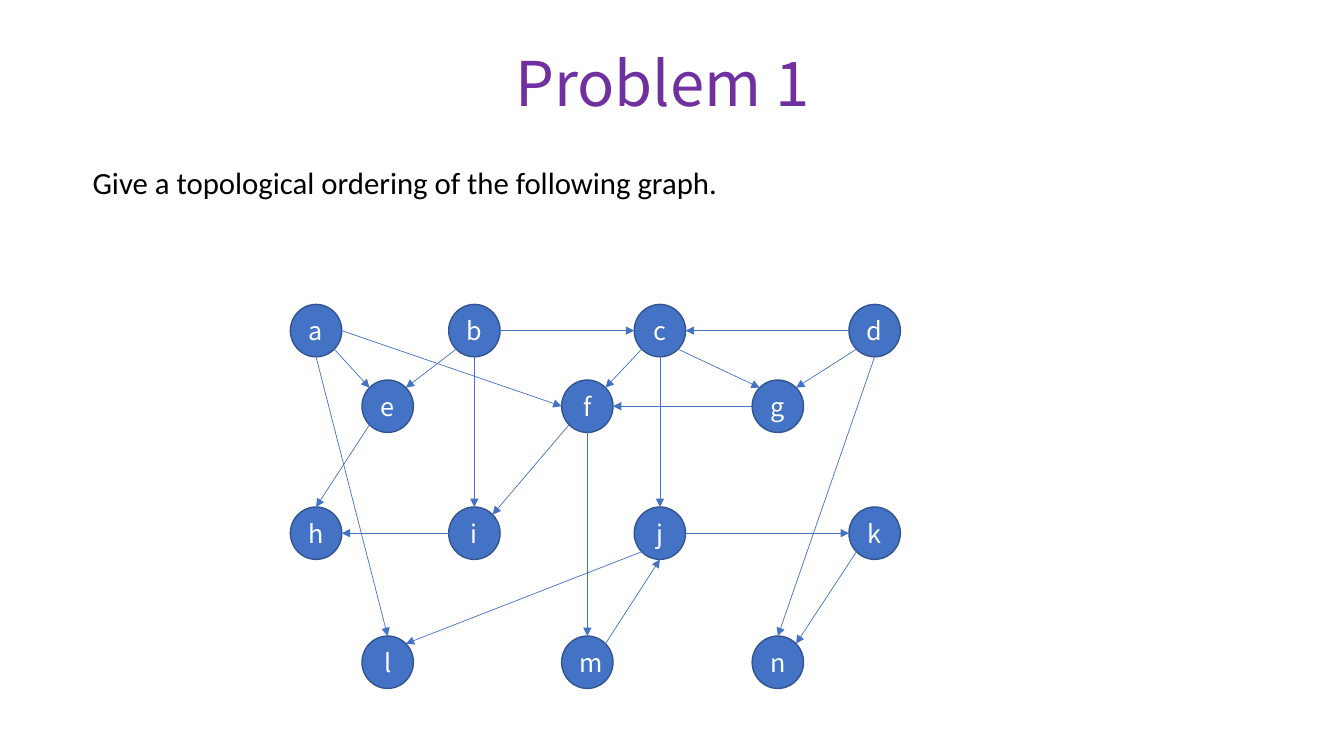
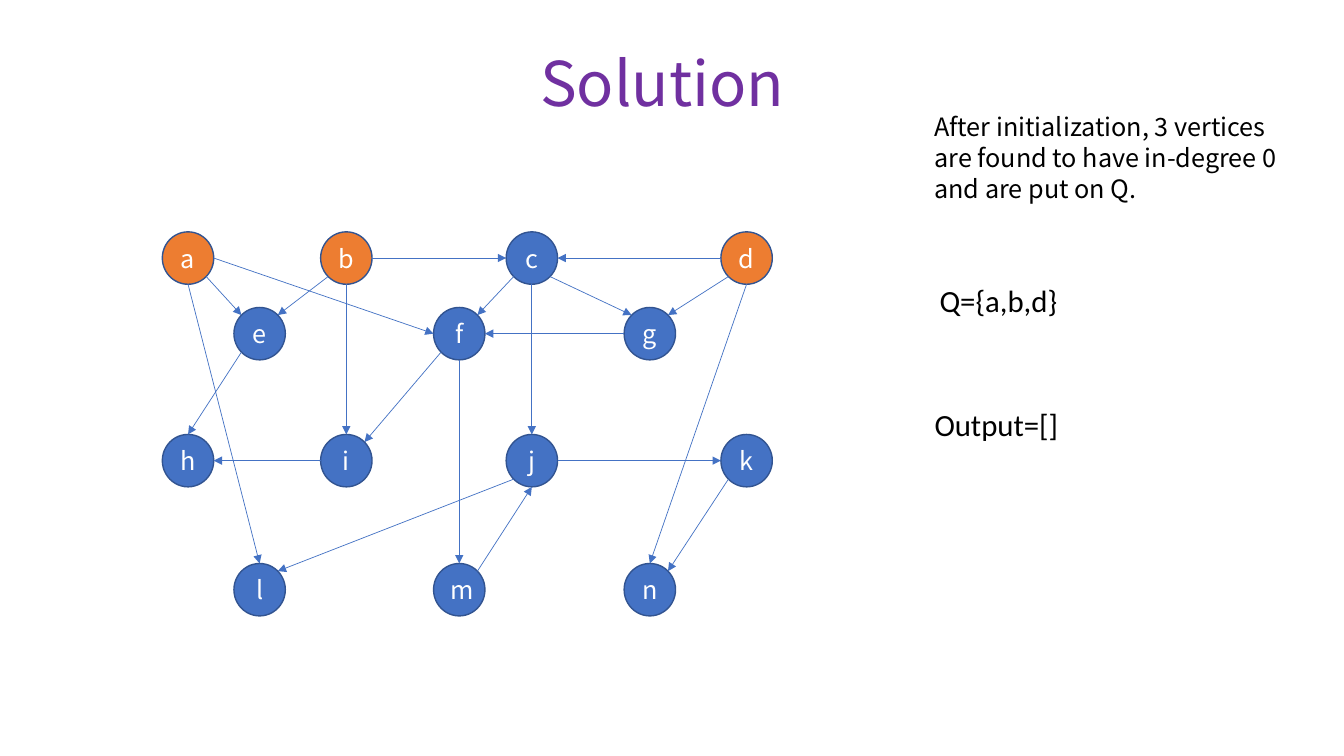
import math

import pptx
import pptx.dml.color
import pptx.enum.shapes
import pptx.enum.text
import pptx.oxml.ns
import pptx.oxml.xmlchemy
import pptx.util

Inches = pptx.util.Inches
Pt = pptx.util.Pt

COLORS = {
    "title": "7030A0",
    "text": "000000",
    "node": "4472C4",
    "queued": "ED7D31",
    "outline": "325491",
    "edge": "4472C4",
    "label": "FFFFFF",
}
SANS = "Noto Sans CJK SC"
BODY = "Calibri"
CENTER = pptx.enum.text.PP_ALIGN.CENTER
MIDDLE = pptx.enum.text.MSO_ANCHOR.MIDDLE
TITLE_FORMAT = {"alignment": CENTER, "line_spacing": 0.9}

# Graph: node offsets from its top left corner, and edges between compass sites
NODE_WIDTH, NODE_HEIGHT = 0.51, 0.52
GRAPH_ROWS = [
    (0, {"a": 0, "b": 1.57, "c": 3.41, "d": 5.54}),
    (0.75, {"e": 0.71, "f": 2.69, "g": 4.58}),
    (2.01, {"h": 0, "i": 1.57, "j": 3.41, "k": 5.54}),
    (3.29, {"l": 0.71, "m": 2.69, "n": 4.58}),
]
EDGES = [
    "a SE e NW", "b SW e NE", "b E c W", "d W c E", "d SW g NE", "c SE g NW",
    "g W f E", "c SW f NE", "c S j N", "j E k W", "m NE j S", "k SW n NE",
    "d S n N", "f S m N", "j SW l NE", "a S l N", "e SW h N", "i W h E",
    "a E f W", "b S i N", "f SW i NE",
]
DIAGONAL = math.sqrt(0.5)
SITES = {
    "N": (0, -1), "E": (1, 0), "S": (0, 1), "W": (-1, 0),
    "NE": (DIAGONAL, -DIAGONAL), "SE": (DIAGONAL, DIAGONAL),
    "SW": (-DIAGONAL, DIAGONAL), "NW": (-DIAGONAL, -DIAGONAL),
}

SLIDES = [
    {
        "title": "Problem 1",
        "origin": (2.88, 3.02),
        "queued": "",
        "texts": [
            ("Give a topological ordering of the following graph.",
             (0.82, 1.58, 10.52, 0.47), BODY, 22, {}),
        ],
    },
    {
        "title": "Solution",
        "origin": (1.61, 2.3),
        "queued": "abd",
        "texts": [
            ("After initialization, 3 vertices are found to have in-degree 0 "
             "and are put on Q.",
             (9.17, 1.05, 3.67, 1.01), SANS, 18, {"line_spacing": Pt(22)}),
            ("Q={a,b,d}", (9.22, 2.79, 2.82, 0.43), BODY, 22, {"line_spacing": 0.9}),
            ("Output=[]", (9.17, 3.98, 2.92, 0.47), BODY, 22, {}),
        ],
    },
]


def rgb(name):
    return pptx.dml.color.RGBColor.from_string(COLORS[name])


def write_text(shape, text, font_name, size, color, paragraph_format):
    paragraph = shape.text_frame.paragraphs[0]
    paragraph.text = text
    for name, value in paragraph_format.items():
        setattr(paragraph, name, value)
    font = paragraph.runs[0].font
    for name, value in {"name": font_name, "size": Pt(size)}.items():
        setattr(font, name, value)
    font.color.rgb = rgb(color)


presentation = pptx.Presentation()
presentation.slide_width = Inches(13.33)
presentation.slide_height = Inches(7.5)

for content in SLIDES:
    slide = presentation.slides.add_slide(presentation.slide_layouts[6])

    # Title
    title = slide.shapes.add_textbox(Inches(0.82), Inches(0.13), Inches(11.5), Inches(1.45))
    title.text_frame.word_wrap = True
    title.text_frame.vertical_anchor = MIDDLE
    write_text(title, content["title"], SANS, 44, "title", TITLE_FORMAT)

    # Nodes
    left, top = content["origin"]
    centers = {}
    for row_offset, row in GRAPH_ROWS:
        for label, column_offset in row.items():
            x, y = left + column_offset, top + row_offset
            centers[label] = (x + NODE_WIDTH / 2, y + NODE_HEIGHT / 2)
            node = slide.shapes.add_shape(
                pptx.enum.shapes.MSO_SHAPE.OVAL,
                Inches(x), Inches(y), Inches(NODE_WIDTH), Inches(NODE_HEIGHT))
            node.shadow.inherit = False
            node.fill.solid()
            node.fill.fore_color.rgb = rgb("queued" if label in content["queued"] else "node")
            node.line.color.rgb = rgb("outline")
            node.line.width = Pt(1)
            node.text_frame.vertical_anchor = MIDDLE
            write_text(node, label, SANS, 18, "label", {"alignment": CENTER})

    # Edges
    for edge in EDGES:
        source, source_site, target, target_site = edge.split()
        ends = []
        for label, site in ((source, source_site), (target, target_site)):
            for center, size, direction in zip(
                    centers[label], (NODE_WIDTH, NODE_HEIGHT), SITES[site]):
                ends.append(Inches(center + direction * size / 2))
        arrow = slide.shapes.add_connector(pptx.enum.shapes.MSO_CONNECTOR.STRAIGHT, *ends)
        arrow.line.color.rgb = rgb("edge")
        arrow.line.width = Pt(0.5)
        head = pptx.oxml.xmlchemy.OxmlElement("a:tailEnd")
        head.set("type", "triangle")
        properties = arrow._element.find(pptx.oxml.ns.qn("p:spPr"))
        properties.find(pptx.oxml.ns.qn("a:ln")).append(head)
        properties.append(pptx.oxml.xmlchemy.OxmlElement("a:effectLst"))

    # Explanations
    for text, box, font_name, size, paragraph_format in content["texts"]:
        explanation = slide.shapes.add_textbox(*map(Inches, box))
        explanation.text_frame.word_wrap = True
        write_text(explanation, text, font_name, size, "text", paragraph_format)

presentation.save("out.pptx")
